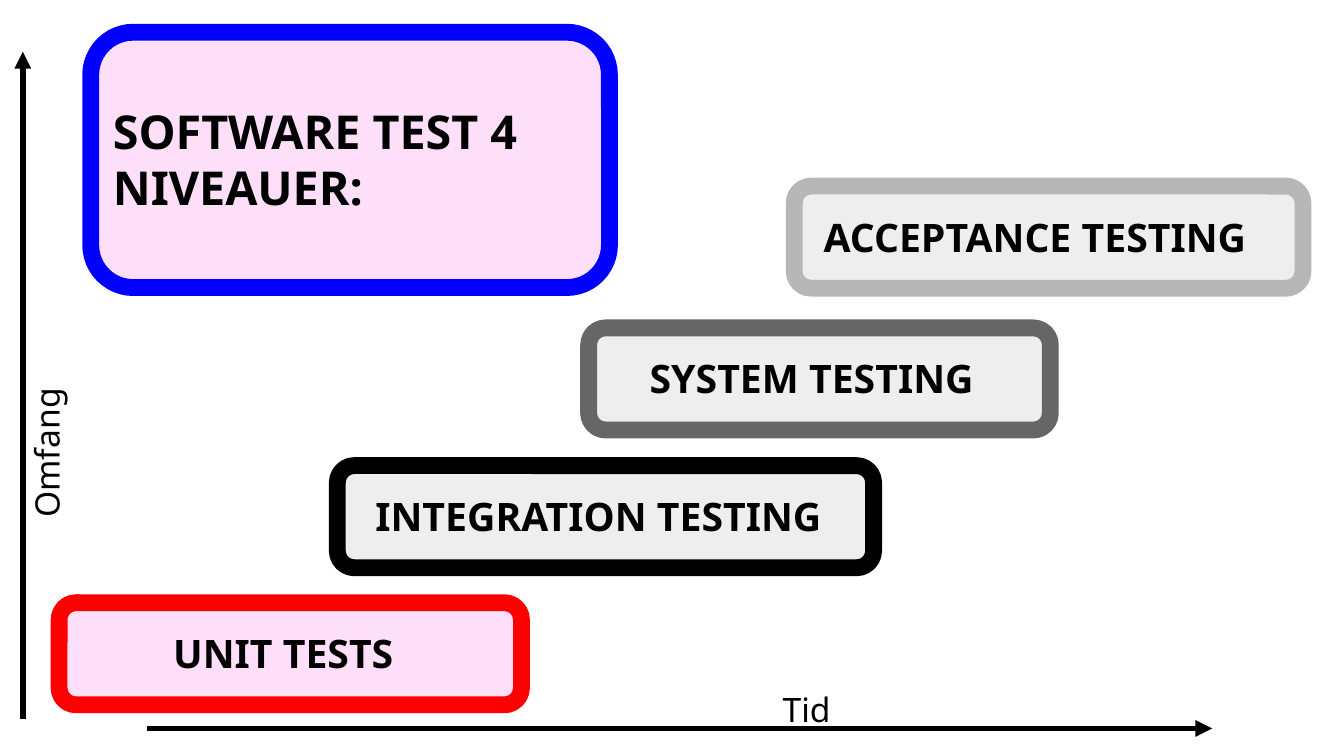
"""Build a slide that places four software test levels by time and scope."""
from typing import NamedTuple

from lxml.etree import SubElement
from pptx import Presentation
from pptx.dml.color import RGBColor
from pptx.enum.shapes import MSO_CONNECTOR, MSO_SHAPE
from pptx.enum.text import MSO_ANCHOR, MSO_AUTO_SIZE, PP_ALIGN
from pptx.oxml.ns import qn
from pptx.shapes.autoshape import Shape
from pptx.slide import Slide
from pptx.util import Pt

SCALE = 4572
FONT = "Noto Sans"
COLORS = {
    "pink": "FDDFFA",
    "pale": "EEEEEE",
    "blue": "0000FF",
    "red": "FF0000",
    "black": "000000",
    "dark": "666666",
    "silver": "B7B7B7",
}


class Rect(NamedTuple):
    left: int
    top: int
    width: int
    height: int


class Level(NamedTuple):
    text: str
    box: Rect
    label: Rect
    fill: str
    edge: str


class Axis(NamedTuple):
    text: str
    start: tuple[int, int]
    end: tuple[int, int]
    label: Rect
    turn: int


TITLE = Level("SOFTWARE TEST 4 NIVEAUER:", Rect(135, 48, 772, 380),
              Rect(148, 133, 746, 208), "pink", "blue")
LEVELS = [
    Level("UNIT TESTS", Rect(88, 897, 688, 152),
          Rect(238, 917, 488, 112), "pink", "red"),
    Level("INTEGRATION TESTING", Rect(502, 693, 798, 152),
          Rect(539, 713, 928, 112), "pale", "black"),
    Level("SYSTEM TESTING", Rect(876, 488, 687, 152),
          Rect(947, 508, 616, 112), "pale", "dark"),
    Level("ACCEPTANCE TESTING", Rect(1182, 277, 757, 152),
          Rect(1206, 298, 708, 112), "pale", "silver"),
]
AXES = [
    Axis("Tid", (219, 1084), (1804, 1084), Rect(1145, 1006, 254, 100), 0),
    Axis("Omfang", (34, 1070), (34, 77), Rect(-58, 613, 254, 100), 270),
]


def px(size: int) -> int:
    return size * SCALE


def emu(rect: Rect) -> list[int]:
    return [px(side) for side in rect]


def color(name: str) -> RGBColor:
    return RGBColor.from_string(COLORS[name])


def write(shape: Shape, text: str, size: int, bold: bool = False) -> None:
    frame = shape.text_frame
    frame.text = text
    frame.word_wrap = True
    frame.auto_size = MSO_AUTO_SIZE.NONE
    frame.vertical_anchor = MSO_ANCHOR.TOP
    frame.margin_left = frame.margin_right = px(20)
    frame.margin_top = frame.margin_bottom = px(20)
    line = frame.paragraphs[0]
    line.alignment = PP_ALIGN.LEFT
    font = line.runs[0].font
    font.name, font.size, font.bold = FONT, Pt(size), bold
    font.color.rgb = color("black")


def draw_box(slide: Slide, level: Level) -> None:
    box = slide.shapes.add_shape(MSO_SHAPE.ROUNDED_RECTANGLE, *emu(level.box))
    box.shadow.inherit = False
    box.fill.solid()
    box.fill.fore_color.rgb = color(level.fill)
    box.line.color.rgb = color(level.edge)
    box.line.width = Pt(9)


def draw_title(slide: Slide, level: Level) -> None:
    draw_box(slide, level)
    title = slide.shapes.title
    title.left, title.top, title.width, title.height = emu(level.label)
    write(title, level.text, 25, True)
    slide.shapes.element.append(title.element)


def draw_level(slide: Slide, level: Level) -> None:
    draw_box(slide, level)
    label = slide.shapes.add_textbox(*emu(level.label))
    write(label, level.text, 21, True)


def draw_axis(slide: Slide, axis: Axis) -> None:
    ends = [px(side) for side in axis.start + axis.end]
    arrow = slide.shapes.add_connector(MSO_CONNECTOR.STRAIGHT, *ends)
    arrow.line.color.rgb = color("black")
    arrow.line.width = Pt(3)
    edge = arrow.element.spPr.find(qn("a:ln"))
    SubElement(edge, qn("a:tailEnd"), type="triangle")
    SubElement(arrow.element.spPr, qn("a:effectLst"))
    label = slide.shapes.add_textbox(*emu(axis.label))
    label.rotation = axis.turn
    write(label, axis.text, 18)


def main() -> None:
    deck = Presentation()
    deck.slide_width, deck.slide_height = px(2000), px(1125)
    slide = deck.slides.add_slide(deck.slide_layouts.get_by_name("Title Only"))
    draw_title(slide, TITLE)
    for level in LEVELS:
        draw_level(slide, level)
    for axis in AXES:
        draw_axis(slide, axis)
    deck.save("out.pptx")


if __name__ == "__main__":
    main()
